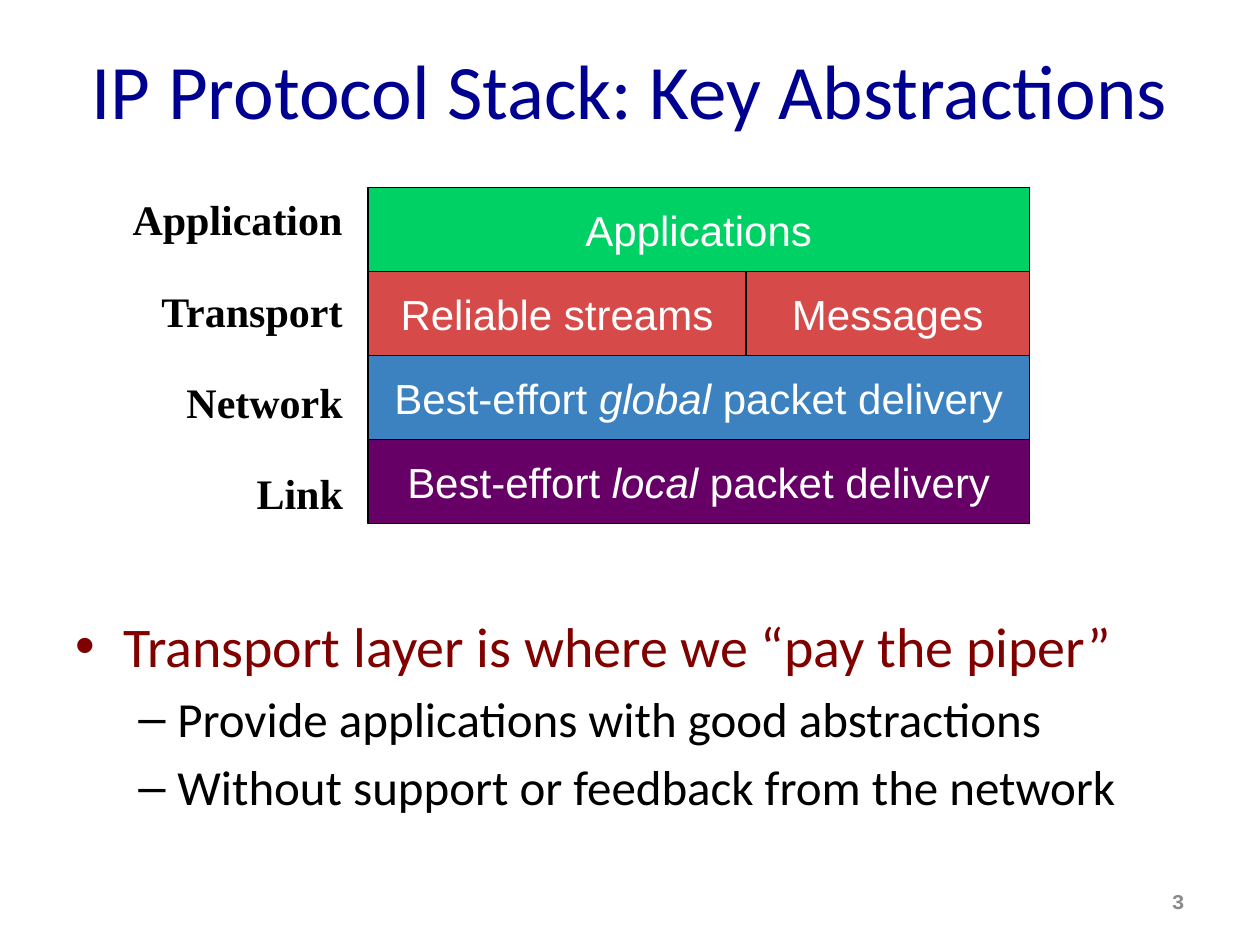
from lxml.etree import SubElement
from pptx import Presentation
from pptx.dml.color import RGBColor
from pptx.enum.shapes import MSO_SHAPE
from pptx.enum.text import MSO_ANCHOR, PP_ALIGN
from pptx.oxml.ns import qn
from pptx.util import Inches, Pt

NAVY = RGBColor(0x00, 0x00, 0x90)
MAROON = RGBColor(0x80, 0x00, 0x00)
BLACK = RGBColor(0x00, 0x00, 0x00)
WHITE = RGBColor(0xFF, 0xFF, 0xFF)
GRAY = RGBColor(0x89, 0x89, 0x89)
GREEN = RGBColor(0x00, 0xD1, 0x64)
RED = RGBColor(0xD6, 0x4A, 0x49)
BLUE = RGBColor(0x3C, 0x82, 0xC0)
PURPLE = RGBColor(0x66, 0x00, 0x66)

# Content: each layer has a label, label width, fill and (text, width) boxes;
# asterisks mark italic words
TITLE = "IP Protocol Stack: Key Abstractions"
LAYERS = [
    ("Application", 1.89, GREEN, [("Applications", 5.25)]),
    ("Transport", 1.66, RED, [("Reliable streams", 3), ("Messages", 2.25)]),
    ("Network", 1.46, BLUE, [("Best-effort *global *packet delivery", 5.25)]),
    ("Link", 0.9, PURPLE, [("Best-effort *local *packet delivery", 5.25)]),
]
# Text, level, size, colour
POINTS = [
    ("Transport layer is where we “pay the piper”", 0, 32, MAROON),
    ("Provide applications with good abstractions", 1, 28, BLACK),
    ("Without support or feedback from the network", 1, 28, BLACK),
]
# Bullet, left margin and hanging indent of each level
LEVELS = [("•", 0.38, 0.38), ("–", 0.81, 0.31)]

STACK_LEFT, STACK_TOP, ROW_H = 2.92, 1.49, 0.667
LABEL_RIGHT, LABEL_STEP, LABEL_H = 2.83, 0.723, 0.51


def write(p, text, size=24, font="Calibri", color=BLACK, bold=False,
          align=PP_ALIGN.LEFT):
    p.alignment = align
    for i, part in enumerate(text.split("*")):
        r = p.add_run()
        r.text = part
        r.font.size, r.font.name = Pt(size), font
        r.font.color.rgb = color
        r.font.bold, r.font.italic = bold, i % 2 == 1


def add_bullet(p, level):
    char, margin, hang = LEVELS[level]
    p.level = level
    pPr = p._p.get_or_add_pPr()
    pPr.set("marL", str(Inches(margin)))
    pPr.set("indent", str(-Inches(hang)))
    SubElement(pPr, qn("a:buFont")).set("typeface", "Arial")
    SubElement(pPr, qn("a:buChar")).set("char", char)


def text_frame(x, y, w, h, anchor=MSO_ANCHOR.TOP, wrap=True):
    tf = s.shapes.add_textbox(Inches(x), Inches(y), Inches(w), Inches(h)).text_frame
    tf.word_wrap, tf.vertical_anchor = wrap, anchor
    return tf


prs = Presentation()
prs.slide_width, prs.slide_height = Inches(10), Inches(7.5)
s = prs.slides.add_slide(prs.slide_layouts[6])

# Title
tf = text_frame(0.5, 0.08, 9, 1.25, MSO_ANCHOR.MIDDLE)
write(tf.paragraphs[0], TITLE, size=44, color=NAVY, align=PP_ALIGN.CENTER)

# Bullet points
tf = text_frame(0.5, 4.8, 9.33, 1.95)
for i, (text, level, size, color) in enumerate(POINTS):
    p = tf.add_paragraph() if i else tf.paragraphs[0]
    add_bullet(p, level)
    if i:
        p.space_before = Pt(size * 0.2)
    write(p, text, size=size, color=color)

# Slide number
tf = text_frame(7.17, 6.95, 2.33, 0.4, MSO_ANCHOR.MIDDLE)
write(tf.paragraphs[0], "3", size=12, font="Courier New", color=GRAY,
      bold=True, align=PP_ALIGN.RIGHT)

# Protocol stack with its layer labels
for row, (label, label_w, fill, boxes) in enumerate(LAYERS):
    x = STACK_LEFT
    for text, w in boxes:
        sp = s.shapes.add_shape(MSO_SHAPE.RECTANGLE, Inches(x),
                                Inches(STACK_TOP + row * ROW_H),
                                Inches(w), Inches(ROW_H))
        sp.shadow.inherit = False
        sp.fill.solid()
        sp.fill.fore_color.rgb = fill
        sp.line.color.rgb, sp.line.width = BLACK, Pt(0.75)
        tf = sp.text_frame
        tf.word_wrap, tf.vertical_anchor = False, MSO_ANCHOR.MIDDLE
        write(tf.paragraphs[0], text, font="Arial", color=WHITE,
              align=PP_ALIGN.CENTER)
        x += w
    tf = text_frame(LABEL_RIGHT - label_w, STACK_TOP + row * LABEL_STEP,
                    label_w, LABEL_H, wrap=False)
    write(tf.paragraphs[0], label, font="Times New Roman", bold=True,
          align=PP_ALIGN.CENTER)

prs.save("out.pptx")
